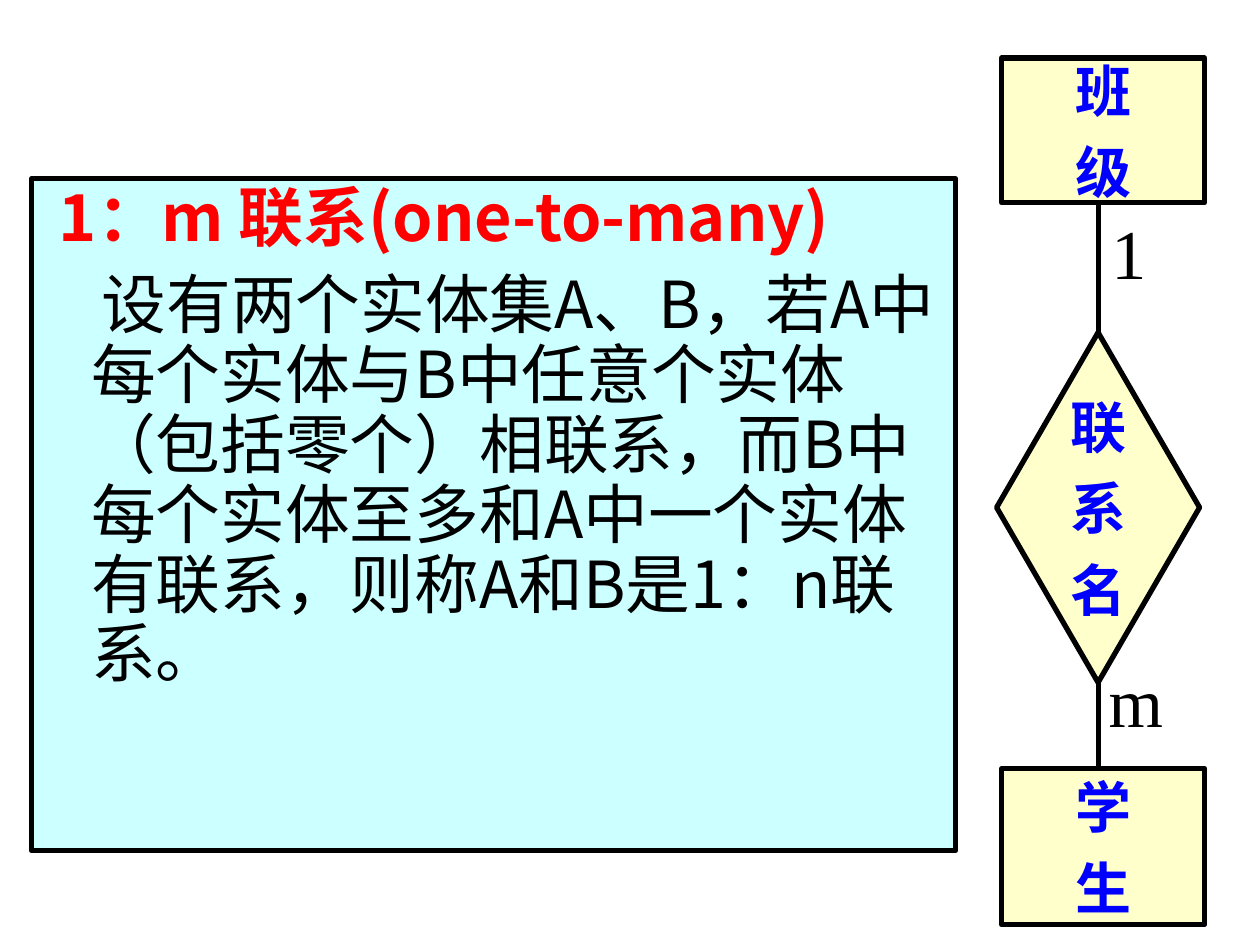
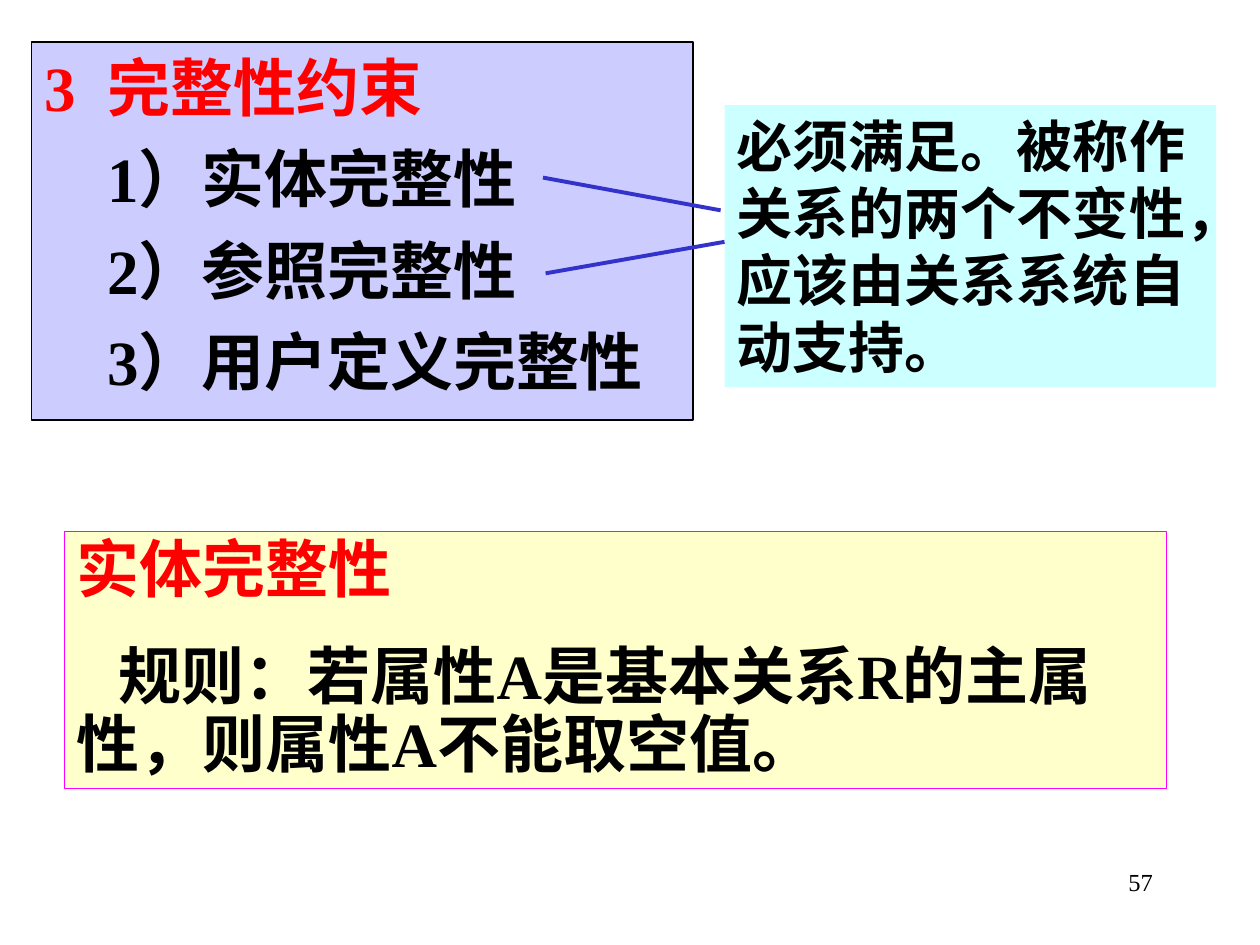
import pptx
import pptx.util
import pptx.dml.color
import pptx.enum.shapes
import pptx.enum.text
import pptx.oxml.ns
from lxml import etree

Pt = pptx.util.Pt
SHAPES = pptx.enum.shapes.MSO_SHAPE
ALIGN = pptx.enum.text.PP_ALIGN
ANCHOR = pptx.enum.text.MSO_ANCHOR

SANS, SERIF = "Noto Sans CJK SC", "Times New Roman"
BLACK, RED, BLUE = "000000", "FF0000", "0000FF"
CYAN, CREAM, LAVENDER = "CCFFFF", "FFFFCC", "CCCCFF"
MAGENTA, INDIGO = "FF00FF", "3333CC"


def color(hex_code):
    return pptx.dml.color.RGBColor.from_string(hex_code)


def add_child(parent, tag, **attributes):
    return etree.SubElement(parent, pptx.oxml.ns.qn(tag), attributes)


def prepare_frame(frame, anchor=ANCHOR.TOP, wrap=True):
    frame.auto_size = pptx.enum.text.MSO_AUTO_SIZE.NONE
    frame.word_wrap = wrap
    frame.vertical_anchor = anchor
    frame.margin_left = frame.margin_right = Pt(7.2)
    frame.margin_top = frame.margin_bottom = Pt(3.6)


def write(frame, text, size=36, font=SERIF, ink=BLACK, bold=False, align=ALIGN.LEFT,
          before=0, spacing=1.0, left=0, first=0, tab=None):
    """Add one paragraph; left and first are its margin and first-line indent."""
    opening = not frame.text
    paragraph = frame.paragraphs[0] if opening else frame.add_paragraph()
    paragraph.alignment = align
    paragraph.line_spacing = spacing
    paragraph.space_before = Pt(0 if opening else before)
    properties = paragraph._p.get_or_add_pPr()
    properties.set("marL", str(Pt(left)))
    properties.set("indent", str(Pt(first)))
    add_child(properties, "a:buNone")
    if tab:
        stops = add_child(properties, "a:tabLst")
        add_child(stops, "a:tab", pos=str(Pt(tab)), algn="l")
    run = paragraph.add_run()
    run.text = text
    run.font.size = Pt(size)
    run.font.name = font
    run.font.bold = bold
    run.font.color.rgb = color(ink)
    add_child(run._r.get_or_add_rPr(), "a:ea", typeface=SANS)


def paint(shape, fill, line=None, width=0.75):
    shape.fill.solid()
    shape.fill.fore_color.rgb = color(fill)
    if line:
        shape.line.color.rgb = color(line)
        shape.line.width = Pt(width)
    else:
        shape.line.fill.background()


def add_panel(slide, box, fill, line=None, width=0.75, kind=SHAPES.RECTANGLE, **frame_format):
    panel = slide.shapes.add_shape(kind, *map(Pt, box))
    panel.shadow.inherit = False
    paint(panel, fill, line, width)
    prepare_frame(panel.text_frame, **frame_format)
    return panel.text_frame


def fill_body(slide, box, fill, width):
    """Place the body placeholder as a framed panel."""
    body = slide.placeholders[1]
    body.left, body.top, body.width, body.height = map(Pt, box)
    paint(body, fill, BLACK, width)
    prepare_frame(body.text_frame)
    return body.text_frame


def add_label(slide, box, text, **text_format):
    label = slide.shapes.add_textbox(*map(Pt, box))
    prepare_frame(label.text_frame, wrap=False)
    write(label.text_frame, text, **text_format)


def add_line(slide, start, end, ink, width):
    line = slide.shapes.add_connector(pptx.enum.shapes.MSO_CONNECTOR.STRAIGHT,
                                      *map(Pt, start + end))
    line.line.color.rgb = color(ink)
    line.line.width = Pt(width)
    add_child(line._element.spPr, "a:effectLst")


def add_er_node(slide, box, name, kind=SHAPES.RECTANGLE):
    """Draw an entity or relationship with its name set vertically."""
    node = add_panel(slide, box, CREAM, BLACK, 3, kind, anchor=ANCHOR.MIDDLE, wrap=False)
    for character in name:
        write(node, character, size=32, ink=BLUE, bold=True, align=ALIGN.CENTER, before=8)


def add_slide(deck):
    slide = deck.slides.add_slide(deck.slide_layouts[1])
    title = slide.shapes.title._element
    title.getparent().remove(title)
    return slide


def build_one_to_many(deck):
    slide = add_slide(deck)
    definition = fill_body(slide, (18, 102.2, 528, 384), CYAN, 3)
    shared = dict(size=37, font=SANS, before=10, spacing=0.9)
    write(definition, "1：m 联系(one-to-many)", ink=RED, bold=True, left=8.5, **shared)
    write(definition, "设有两个实体集A、B，若A中每个实体与B中任意个实体（包括零个）相联系，"
          "而B中每个实体至多和A中一个实体有联系，则称A和B是1：n联系。",
          left=27, first=6, **shared)

    add_er_node(slide, (572.4, 33.1, 116, 82.8), "班级")
    add_er_node(slide, (572.4, 439.2, 116, 89.3), "学生")
    add_er_node(slide, (569.5, 190, 116, 200), "联系名", SHAPES.DIAMOND)
    axis = 627.8
    for start, end in ((190, 116), (390, 439.2)):
        add_line(slide, (axis, start), (axis, end), BLACK, 3)
    for box, cardinality in (((axis, 116, 34.5, 55.5), "1"),
                             ((626.4, 372.2, 45.4, 55.5), "m")):
        add_label(slide, box, cardinality, size=40, align=ALIGN.CENTER)


def build_integrity(deck):
    slide = add_slide(deck)
    constraints = fill_body(slide, (18, 24, 378, 216), LAVENDER, 0.75)
    write(constraints, "3\t完整性约束", ink=RED, bold=True, tab=44.5)
    for number, constraint in enumerate(("实体", "参照", "用户定义"), 1):
        write(constraints, f"{number}）{constraint}完整性", bold=True, before=9, left=36)

    remark = add_panel(slide, (414, 60, 281, 161.2), CYAN)
    write(remark, "必须满足。被称作关系的两个不变性，应该由关系系统自动支持。", size=32, bold=True)
    add_line(slide, (310.3, 101.5), (411.8, 120.2), INDIGO, 2.25)
    add_line(slide, (311.8, 156.2), (414, 138.2), INDIGO, 2.25)

    rule = add_panel(slide, (36.7, 303.8, 630, 146.9), CREAM, MAGENTA)
    write(rule, "实体完整性", ink=RED, bold=True, spacing=0.9)
    write(rule, "规则：若属性A是基本关系R的主属性，则属性A不能取空值。",
          bold=True, before=22.5, spacing=0.9, first=24)
    add_label(slide, (516, 492, 150, 36), "57", size=14, align=ALIGN.RIGHT)


def main():
    deck = pptx.Presentation()
    deck.slide_width, deck.slide_height = Pt(720), Pt(540)
    build_one_to_many(deck)
    build_integrity(deck)
    deck.save("out.pptx")


if __name__ == "__main__":
    main()
